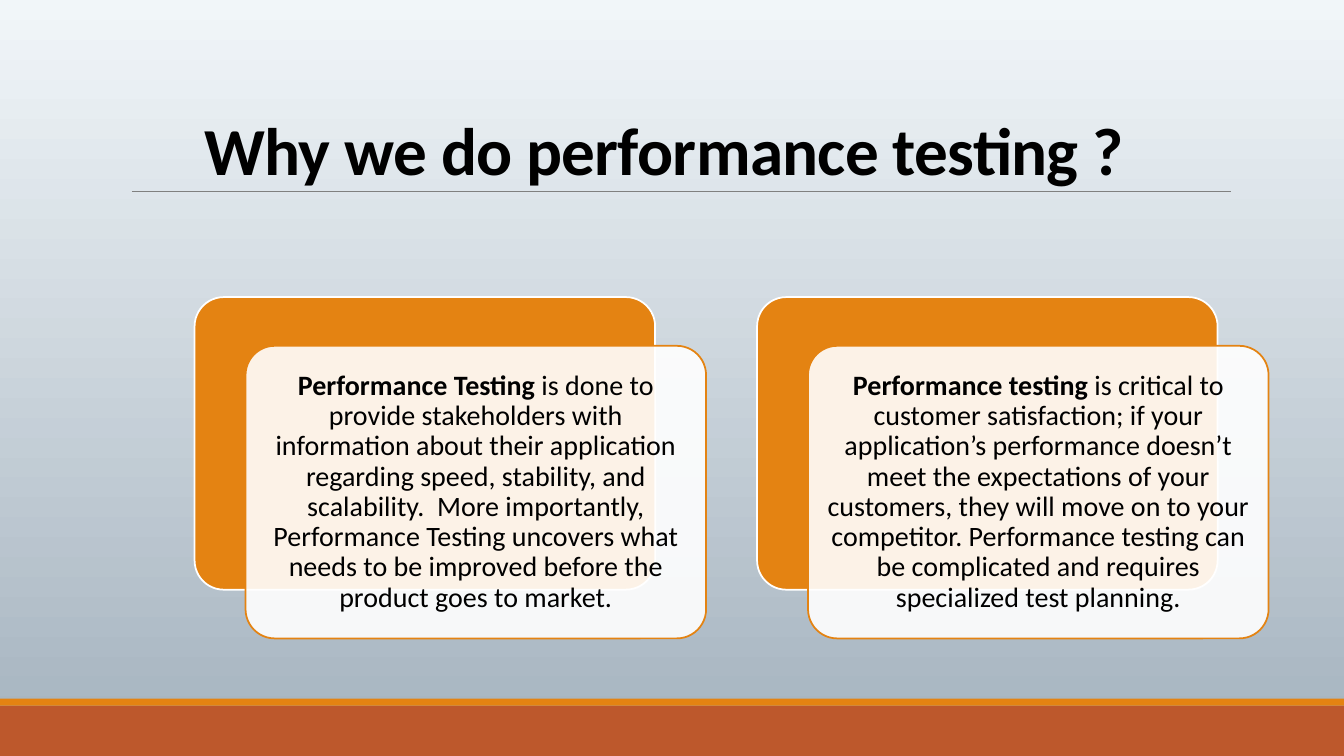
from lxml import etree
from pptx import Presentation
from pptx.dml.color import RGBColor
from pptx.enum import shapes, text
from pptx.oxml import ns
from pptx.util import Pt

ORANGE, RUST, WHITE, BLACK = "E48312", "BD582C", "FFFFFF", "000000"
SLIDE_WIDTH, SLIDE_HEIGHT = 960, 540
CARD_WIDTH, CARD_HEIGHT = 329, 209
CARD_LEFT, CARD_TOP, CARD_PITCH = 139, 212.2, 401.8
FRONT_SHIFT_X, FRONT_SHIFT_Y = 36.4, 34.8

CARDS = [
    ("Performance Testing",
     " is done to provide stakeholders with information about their application "
     "regarding speed, stability, and scalability.  More importantly, Performance "
     "Testing uncovers what needs to be improved before the product goes to market."),
    ("Performance testing",
     " is critical to customer satisfaction; if your application’s performance "
     "doesn’t meet the expectations of your customers, they will move on to your "
     "competitor. Performance testing can be complicated and requires specialized "
     "test planning."),
]


def rgb(value):
    return RGBColor.from_string(value)


def add_box(kind, left, top, width, height, fill, line=None):
    """Add a shadowless filled shape, outlined only when a line colour is given."""
    box = slide.shapes.add_shape(kind, Pt(left), Pt(top), Pt(width), Pt(height))
    box.shadow.inherit = False
    box.fill.solid()
    box.fill.fore_color.rgb = rgb(fill)
    if line:
        box.line.color.rgb = rgb(line)
        box.line.width = Pt(1.25)
        box.adjustments[0] = 0.1
    else:
        box.line.fill.background()
    return box


presentation = Presentation()
presentation.slide_width = Pt(SLIDE_WIDTH)
presentation.slide_height = Pt(SLIDE_HEIGHT)
slide = presentation.slides.add_slide(presentation.slide_layouts[5])

# Background
background = slide.background.fill
background.gradient()
background.gradient_angle = 270
for stop, color, position in zip(background.gradient_stops, ("F1F6F9", "A4B2BE"), (0, 1)):
    stop.color.rgb = rgb(color)
    stop.position = position

# Footer bands and title rule
add_box(shapes.MSO_SHAPE.RECTANGLE, 0, 504, SLIDE_WIDTH, 36, RUST)
add_box(shapes.MSO_SHAPE.RECTANGLE, 0, 499, SLIDE_WIDTH, 5, ORANGE)
rule = slide.shapes.add_connector(
    shapes.MSO_CONNECTOR.STRAIGHT, Pt(94.3), Pt(136.8), Pt(879), Pt(136.8))
rule.line.color.rgb = rgb("808080")
rule.line.width = Pt(0.5)
etree.SubElement(rule._element.spPr, ns.qn("a:effectLst"))

# Title, in front of its rule
title = slide.shapes.title
slide.shapes[-1]._element.addnext(title._element)
title.left, title.top, title.width, title.height = Pt(139), Pt(41.8), Pt(766.8), Pt(138.2)
title.text_frame.text = "Why we do performance testing ?"
title.text_frame.vertical_anchor = text.MSO_ANCHOR.MIDDLE
title.text_frame.auto_size = text.MSO_AUTO_SIZE.NONE
paragraph = title.text_frame.paragraphs[0]
paragraph.alignment = text.PP_ALIGN.LEFT
paragraph.line_spacing = 0.85
run = paragraph.runs[0]
run.font.name, run.font.size, run.font.bold = "Calibri", Pt(48), True
run.font.color.rgb = rgb(BLACK)
run._r.get_or_add_rPr().set("spc", "-50")

# Cards: an orange back and a translucent front holding the text
for index, (lead, body) in enumerate(CARDS):
    left = CARD_LEFT + index * CARD_PITCH
    add_box(shapes.MSO_SHAPE.ROUNDED_RECTANGLE, left, CARD_TOP,
            CARD_WIDTH, CARD_HEIGHT, ORANGE, WHITE)
    front = add_box(shapes.MSO_SHAPE.ROUNDED_RECTANGLE, left + FRONT_SHIFT_X,
                    CARD_TOP + FRONT_SHIFT_Y, CARD_WIDTH, CARD_HEIGHT, WHITE, ORANGE)
    fill_color = front._element.spPr.find(ns.qn("a:solidFill"))[0]
    etree.SubElement(fill_color, ns.qn("a:alpha"), val="90000")

    frame = front.text_frame
    frame.word_wrap = True
    frame.vertical_anchor = text.MSO_ANCHOR.MIDDLE
    frame.margin_left = frame.margin_right = Pt(6)
    frame.margin_top = frame.margin_bottom = Pt(6)
    paragraph = frame.paragraphs[0]
    paragraph.alignment = text.PP_ALIGN.CENTER
    paragraph.line_spacing = 0.9
    for words, bold in ((lead, True), (body, False)):
        run = paragraph.add_run()
        run.text = words
        run.font.name, run.font.size, run.font.bold = "Calibri", Pt(20), bold
        run.font.color.rgb = rgb(BLACK)

presentation.save("out.pptx")
